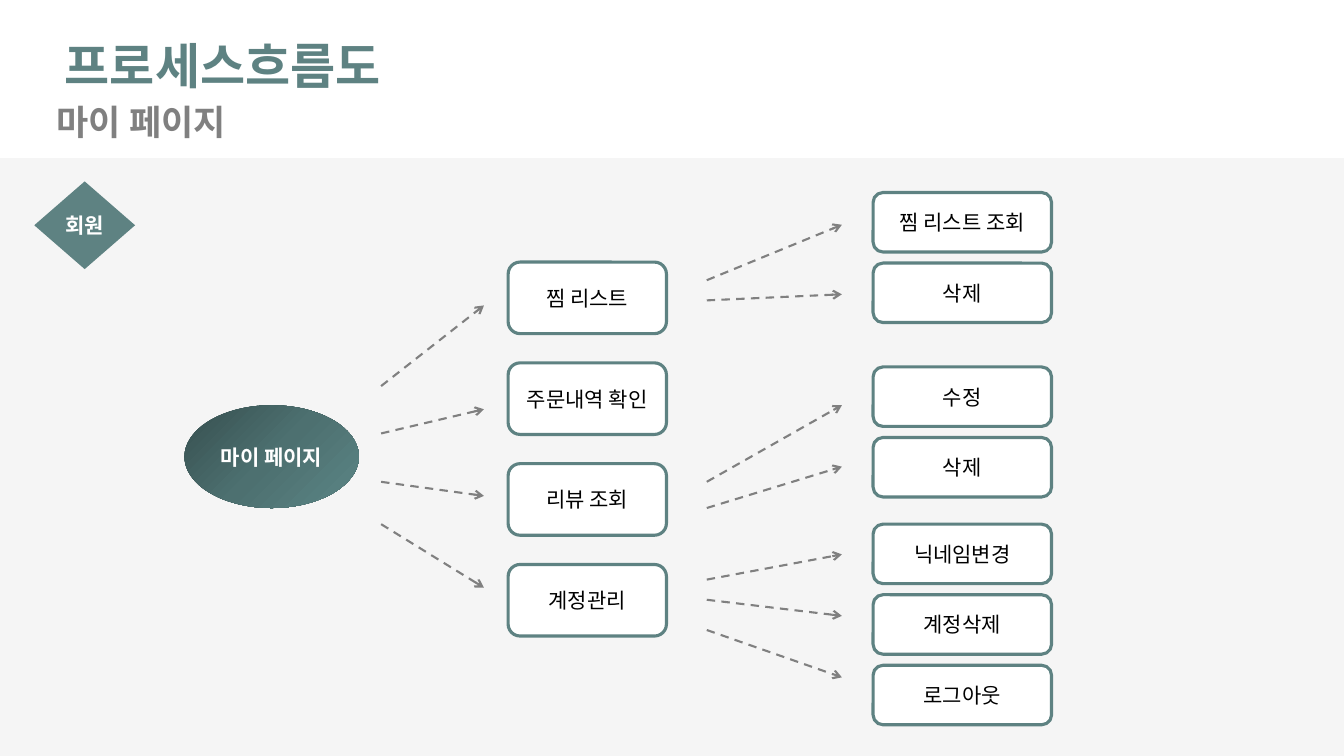
from lxml import etree
from copy import deepcopy
from pptx import Presentation
from pptx.dml.color import RGBColor
from pptx.enum.dml import MSO_LINE
from pptx.enum.shapes import MSO_CONNECTOR, MSO_SHAPE
from pptx.enum.text import MSO_ANCHOR, MSO_AUTO_SIZE, PP_ALIGN
from pptx.oxml.ns import qn
from pptx.util import Inches, Pt

RECT, ROUNDED = MSO_SHAPE.RECTANGLE, MSO_SHAPE.ROUNDED_RECTANGLE
OVAL, DIAMOND = MSO_SHAPE.OVAL, MSO_SHAPE.DIAMOND
STRAIGHT, DASH = MSO_CONNECTOR.STRAIGHT, MSO_LINE.DASH
MIDDLE, CENTER, NO_FIT = MSO_ANCHOR.MIDDLE, PP_ALIGN.CENTER, MSO_AUTO_SIZE.NONE

TEAL = RGBColor(0x5E, 0x82, 0x82)
GRAY = RGBColor(0x80, 0x80, 0x80)
PALE = RGBColor(0xF5, 0xF5, 0xF5)
WHITE = RGBColor(0xFF, 0xFF, 0xFF)
BLACK = RGBColor(0x00, 0x00, 0x00)
OVAL_DARK = RGBColor(0x36, 0x4F, 0x4F)
OVAL_MID = RGBColor(0x4D, 0x70, 0x70)
OVAL_LIGHT = RGBColor(0x5B, 0x85, 0x85)
FONT = "Noto Sans CJK KR"

TITLE = "프로세스흐름도"
SUBTITLE = "마이 페이지"
ROLE = "회원"
START = "마이 페이지"
STEPS = ["찜 리스트", "주문내역 확인", "리뷰 조회", "계정관리"]
ACTION_GROUPS = [
    (1.91, ["찜 리스트 조회", "삭제"]),
    (3.64, ["수정", "삭제"]),
    (5.2, ["닉네임변경", "계정삭제", "로그아웃"]),
]
STEP_ARROWS = [(3.83, 3.03), (4.3, 4.06), (4.78, 4.92), (5.2, 5.83)]
ACTION_ARROWS = [
    (2.78, 2.23), (2.98, 2.92),
    (4.78, 4.02), (5.04, 4.63),
    (5.75, 5.5), (5.95, 6.11), (6.25, 6.72),
]
ARROW_COLUMNS = [(3.78, 4.8, STEP_ARROWS), (7.01, 8.35, ACTION_ARROWS)]

STEP_LEFT, STEP_TOP, STEP_PITCH = 5.04, 2.6, 1.0
STEP_SIZE = (1.57, 0.71)
ACTION_LEFT, ACTION_PITCH = 8.66, 0.7
ACTION_SIZE = (1.77, 0.59)


def write(shape, text, size, color, bold=False):
    """Put one centred line of text into a shape."""
    frame = shape.text_frame
    frame.auto_size = NO_FIT
    frame.word_wrap = False
    frame.vertical_anchor = MIDDLE
    line = frame.paragraphs[0]
    line.alignment = CENTER
    run = line.add_run()
    run.text = text
    run.font.size = Pt(size)
    run.font.bold = bold
    run.font.color.rgb = color
    run.font.name = FONT
    east_asian = etree.SubElement(run.font._element, qn("a:ea"))
    east_asian.set("typeface", FONT)


def add_node(slide, kind, box, fill, outline=None):
    """Add a flat shape with an optional outline."""
    node = slide.shapes.add_shape(kind, *map(Inches, box))
    node.shadow.inherit = False
    node.fill.solid()
    node.fill.fore_color.rgb = fill
    if outline is None:
        node.line.fill.background()
    else:
        node.line.color.rgb = outline
        node.line.width = Pt(2.25)
    return node


def add_box(slide, text, left, top, size):
    """Add a white rounded box with its label."""
    box = add_node(slide, ROUNDED, (left, top, *size), WHITE, TEAL)
    write(box, text, 15, BLACK)


def shade(node):
    """Give a node the diagonal three-colour gradient."""
    node.fill.gradient()
    node.fill.gradient_angle = 315
    first, last = node.fill.gradient_stops
    first.color.rgb, last.color.rgb = OVAL_DARK, OVAL_LIGHT
    first.position, last.position = 0, 1
    stop = node._element.spPr.find(".//" + qn("a:gs"))
    stop.addnext(deepcopy(stop))
    middle = node.fill.gradient_stops[1]
    middle.color.rgb = OVAL_MID
    middle.position = 0.5


def add_arrow(slide, x1, y1, x2, y2):
    """Add a dashed arrow."""
    arrow = slide.shapes.add_connector(STRAIGHT, *map(Inches, (x1, y1, x2, y2)))
    arrow.line.color.rgb = GRAY
    arrow.line.width = Pt(1.5)
    arrow.line.dash_style = DASH
    etree.SubElement(arrow.line._get_or_add_ln(), qn("a:tailEnd")).set("type", "arrow")
    etree.SubElement(arrow._element.spPr, qn("a:effectLst"))


def main():
    """Build the process flow slide."""
    deck = Presentation()
    deck.slide_width, deck.slide_height = Inches(13.33), Inches(7.5)
    slide = deck.slides.add_slide(deck.slide_layouts[5])
    add_node(slide, RECT, (0, 1.57, 13.33, 5.93), PALE)

    title = slide.shapes.title
    title.left, title.top = Inches(0.39), Inches(0.3)
    title.width, title.height = Inches(3.64), Inches(0.69)
    write(title, TITLE, 35, TEAL, True)
    subtitle = slide.shapes.add_textbox(*map(Inches, (0.36, 0.94, 2.08, 0.52)))
    write(subtitle, SUBTITLE, 25, GRAY, True)

    start = add_node(slide, OVAL, (1.83, 4.02, 1.73, 1.02), OVAL_MID)
    shade(start)
    write(start, START, 15, WHITE, True)
    for row, step in enumerate(STEPS):
        add_box(slide, step, STEP_LEFT, STEP_TOP + row * STEP_PITCH, STEP_SIZE)
    for top, actions in ACTION_GROUPS:
        for row, action in enumerate(actions):
            add_box(slide, action, ACTION_LEFT, top + row * ACTION_PITCH, ACTION_SIZE)
    for tail_x, tip_x, arrows in ARROW_COLUMNS:
        for tail_y, tip_y in arrows:
            add_arrow(slide, tail_x, tail_y, tip_x, tip_y)

    role = add_node(slide, DIAMOND, (0.34, 1.8, 1, 0.87), TEAL)
    write(role, ROLE, 15, WHITE, True)
    deck.save("out.pptx")


if __name__ == "__main__":
    main()
